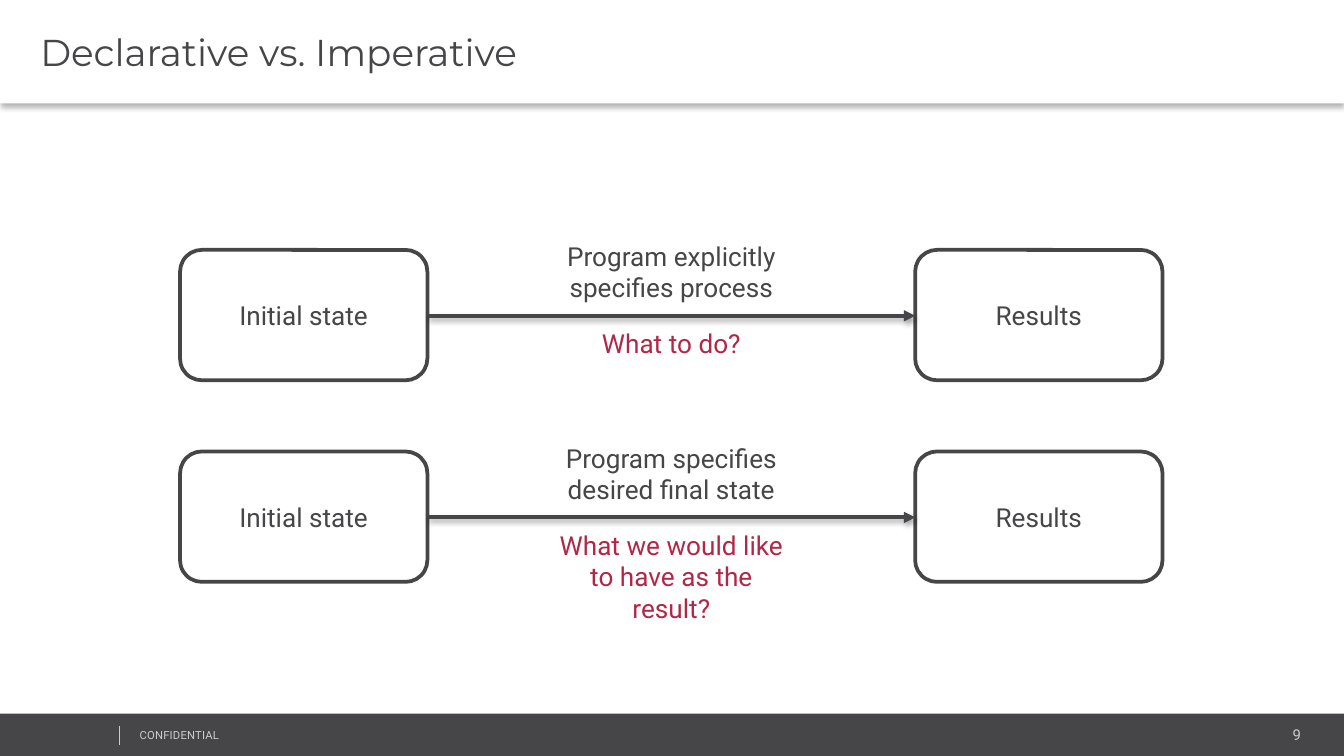
from lxml.etree import SubElement
from pptx import Presentation
from pptx.dml.color import RGBColor
from pptx.enum.shapes import MSO_CONNECTOR, MSO_SHAPE
from pptx.enum.text import MSO_ANCHOR, MSO_AUTO_SIZE, PP_ALIGN
from pptx.oxml.ns import qn
from pptx.util import Inches, Pt

COLORS = {"dark": "464547", "gray": "CCCCCC", "red": "B22746",
          "white": "FFFFFF", "black": "000000"}


def color(name):
    return RGBColor.from_string(COLORS[name])


def write(shape, text, size, color_name, align, font="Roboto"):
    frame = shape.text_frame
    frame.text = text
    frame.word_wrap = True
    frame.auto_size = MSO_AUTO_SIZE.NONE
    paragraph = frame.paragraphs[0]
    paragraph.alignment = align
    run = paragraph.runs[0]
    run.font.size = Pt(size)
    run.font.name = font
    run.font.color.rgb = color(color_name)
    return run


# Widescreen 16:9 slide
presentation = Presentation()
presentation.slide_width = Inches(10)
presentation.slide_height = Inches(10 * 9 / 16)
slide = presentation.slides.add_slide(presentation.slide_layouts[5])
shapes = slide.shapes
shadowed = []  # shape, opacity in percent, distance in points

# Title bar
title = shapes.title
title.left, title.top = Inches(0), Inches(0)
title.width, title.height = Inches(10), Inches(0.77)
title.fill.solid()
title.fill.fore_color.rgb = color("white")
write(title, "Declarative vs. Imperative", 20, "dark", PP_ALIGN.LEFT, "Montserrat")
title.text_frame.vertical_anchor = MSO_ANCHOR.MIDDLE
title.text_frame.margin_left = Inches(0.3)
shadowed.append((title, 30, 2))

# Footer bar with divider
footer = shapes.add_shape(MSO_SHAPE.RECTANGLE, Inches(0), Inches(5.31),
                          Inches(10.01), Inches(0.33))
footer.shadow.inherit = False
footer.fill.solid()
footer.fill.fore_color.rgb = color("dark")
footer.line.fill.background()

divider = shapes.add_connector(MSO_CONNECTOR.STRAIGHT, Inches(0.89), Inches(5.4),
                               Inches(0.89), Inches(5.54))
divider.line.color.rgb = color("gray")
divider.line.width = Pt(0.25)
SubElement(divider._element.spPr, qn("a:effectLst"))

# Footer texts
for text, left, top, width, height, size, align in [
    ("CONFIDENTIAL", 0.97, 5.38, 2.53, 0.18, 6, PP_ALIGN.LEFT),
    ("9", 8.12, 5.36, 1.63, 0.21, 8, PP_ALIGN.RIGHT),
]:
    box = shapes.add_textbox(Inches(left), Inches(top), Inches(width), Inches(height))
    run = write(box, text, size, "gray", align)
    if text == "CONFIDENTIAL":
        run.font._element.set("spc", "10")
    frame = box.text_frame
    frame.margin_left = frame.margin_right = Inches(0.07)
    frame.margin_top = frame.margin_bottom = Inches(0.04)

# One row per programming style: two states, an arrow, a label and a question
rows = [
    (1.86, "Program explicitly specifies process", "What to do?", 0.34),
    (3.36, "Program specifies desired final state",
     "What we would like to have as the result?", 0.81),
]
for top, label, question, question_height in rows:
    for text, left in [("Initial state", 1.34), ("Results", 6.81)]:
        state = shapes.add_shape(MSO_SHAPE.ROUNDED_RECTANGLE, Inches(left), Inches(top),
                                 Inches(1.84), Inches(0.97))
        state.shadow.inherit = False
        state.fill.solid()
        state.fill.fore_color.rgb = color("white")
        state.line.color.rgb = color("dark")
        state.line.width = Pt(2)
        write(state, text, 14, "dark", PP_ALIGN.CENTER)
        state.text_frame.vertical_anchor = MSO_ANCHOR.MIDDLE

    middle = Inches(top + 0.49)
    arrow = shapes.add_connector(MSO_CONNECTOR.STRAIGHT, Inches(3.19), middle,
                                 Inches(6.81), middle)
    arrow.line.color.rgb = color("dark")
    arrow.line.width = Pt(2)
    SubElement(arrow.line._get_or_add_ln(), qn("a:tailEnd"), type="triangle")
    shadowed.append((arrow, 38, 1.6))

    for text, offset, height, color_name in [
        (label, -0.12, 0.57, "dark"),
        (question, 0.53, question_height, "red"),
    ]:
        box = shapes.add_textbox(Inches(4.05), Inches(top + offset), Inches(1.89), Inches(height))
        write(box, text, 14, color_name, PP_ALIGN.CENTER)

# Soft shadows falling straight down
for shape, opacity, distance in shadowed:
    effects = SubElement(shape._element.spPr, qn("a:effectLst"))
    shadow = SubElement(effects, qn("a:outerShdw"), blurRad=str(Pt(3.1)),
                        dist=str(Pt(distance)), dir="5400000", rotWithShape="0")
    shade = SubElement(shadow, qn("a:srgbClr"), val=COLORS["black"])
    SubElement(shade, qn("a:alpha"), val=str(opacity * 1000))

presentation.save("out.pptx")
